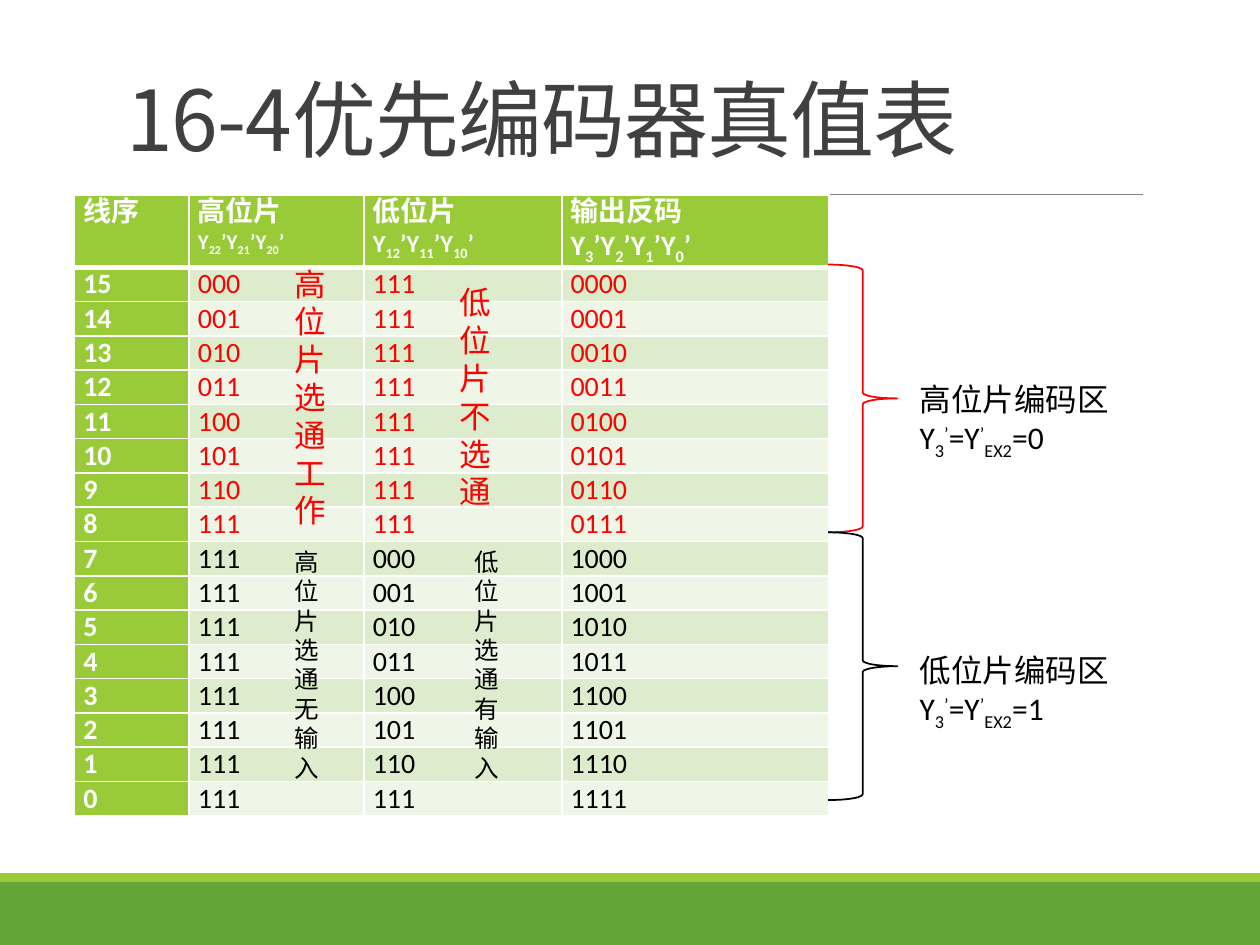
from lxml.etree import SubElement
from pptx import Presentation
from pptx.dml.color import RGBColor
from pptx.enum.shapes import MSO_CONNECTOR as CONNECTOR, MSO_SHAPE as SHAPE
from pptx.enum.text import MSO_ANCHOR as ANCHOR, MSO_AUTO_SIZE as AUTO_SIZE, PP_ALIGN as ALIGN
from pptx.oxml.ns import qn
from pptx.util import Pt

WHITE = RGBColor(0xFF, 0xFF, 0xFF)
BLACK = RGBColor(0, 0, 0)
RED = RGBColor(0xFF, 0, 0)
DARK_GREEN = RGBColor(0x63, 0xA5, 0x37)
GREEN = RGBColor(0x99, 0xCB, 0x38)
BANDS = [RGBColor(0xDE, 0xEC, 0xCE), RGBColor(0xEF, 0xF6, 0xE8)]
TITLE_GREY = RGBColor(0x40, 0x40, 0x40)
RULE_GREY = RGBColor(0x80, 0x80, 0x80)
SUB, SUP = -25000, 30000


def add_runs(paragraph, parts, size, color, bold=False, face="Calibri"):
    """Add (text, baseline) parts as runs of one format."""
    for text, baseline in parts:
        run = paragraph.add_run()
        run.text = text
        for key, value in {"size": Pt(size), "bold": bold, "name": face}.items():
            setattr(run.font, key, value)
        run.font.color.rgb = color
        props = run.font._element
        if baseline:
            props.set("baseline", str(baseline))
        SubElement(props, qn("a:ea")).set("typeface", face)


def fill_cell(cell, lines, fill, color, bold, top=1, bottom=1):
    """Write (parts, size) lines into a cell and give it borders and fill."""
    margins = {"margin_left": 5, "margin_right": 5, "margin_top": 0, "margin_bottom": 0}
    for key, value in margins.items():
        setattr(cell, key, Pt(value))
    frame = cell.text_frame
    for i, (parts, size) in enumerate(lines):
        paragraph = frame.add_paragraph() if i else frame.paragraphs[0]
        paragraph.alignment = ALIGN.JUSTIFY
        add_runs(paragraph, parts, size, color, bold)
    cell_props = cell._tc.get_or_add_tcPr()
    for side, width in {"lnL": 1, "lnR": 1, "lnT": top, "lnB": bottom}.items():
        border = SubElement(cell_props, qn("a:" + side), w=str(Pt(width)))
        solid = SubElement(border, qn("a:solidFill"))
        SubElement(solid, qn("a:srgbClr"), val=str(WHITE))
    cell.fill.solid()
    cell.fill.fore_color.rgb = fill


prs = Presentation()
prs.slide_width, prs.slide_height = Pt(720), Pt(540)
slide = prs.slides.add_slide(prs.slide_layouts[5])
shapes = slide.shapes

# Footer bands and rule under the title
for top, height, color in [(504, 36, DARK_GREEN), (499, 5, GREEN)]:
    band = shapes.add_shape(SHAPE.RECTANGLE, 0, Pt(top), Pt(720), Pt(height))
    band.shadow.inherit = False
    band.fill.solid()
    band.fill.fore_color.rgb = color
    band.line.fill.background()
rule = shapes.add_connector(CONNECTOR.STRAIGHT, Pt(64.8), Pt(111.4), Pt(653), Pt(111.4))
rule.line.color.rgb = RULE_GREY
rule.line.width = Pt(0.5)
SubElement(rule._element.spPr, qn("a:effectLst"))

# Title
title = shapes.title
box = {"left": 64.8, "top": 22.3, "width": 594, "height": 77.8}
for key, value in box.items():
    setattr(title, key, Pt(value))
title.text_frame.vertical_anchor = ANCHOR.BOTTOM
title.text_frame.auto_size = AUTO_SIZE.NONE
heading = title.text_frame.paragraphs[0]
heading.alignment = ALIGN.LEFT
heading.line_spacing = 0.85
add_runs(heading, [("16-4优先编码器真值表", 0)], 48, TITLE_GREY, face="Noto Sans CJK SC")
heading.runs[0].font._element.set("spc", "-50")

# Truth table
column_widths = [65.5, 100, 113, 152.6]
truth_frame = shapes.add_table(17, 4, Pt(42.6), Pt(111.4), Pt(431.1), Pt(345.6))
truth = truth_frame.table
for column, width in zip(truth.columns, column_widths):
    column.width = Pt(width)
for i, row in enumerate(truth.rows):
    row.height = Pt(17.3 if i else 37.5)
truth_frame.height = Pt(345.6)

headers = [
    ("线序", [], 16),
    ("高位片", ["22", "21", "20"], 12),
    ("低位片", ["12", "11", "10"], 14),
    ("输出反码", ["3", "2", "1", "0"], 16),
]
for c, (label, indices, size) in enumerate(headers):
    lines = [([(label, 0)], 16)]
    if indices:
        signals = [("Y", 0)]
        for index in indices:
            signals += [(index, SUB), ("’Y", 0)]
        signals[-1] = ("’", 0)
        lines.append((signals, size))
    fill_cell(truth.cell(0, c), lines, GREEN, WHITE, True, bottom=3)

for r, number in enumerate(range(15, -1, -1), start=1):
    high_active = number >= 8
    code = f"{15 - number:04b}"
    high, low = (code[1:], "111") if high_active else ("111", code[1:])
    for c, value in enumerate([str(number), high, low, code]):
        is_key = c == 0
        fill = GREEN if is_key else BANDS[(r - 1) % 2]
        color = WHITE if is_key else RED if high_active else BLACK
        fill_cell(truth.cell(r, c), [([(value, 0)], 16)], fill, color, is_key,
                  top=3 if r == 1 else 1)

# Braces with their coding zones
zones = [
    (151.2, 213.8, "高位片编码区", "=0", RED),
    (304.2, 368.6, "低位片编码区", "=1", BLACK),
]
for brace_top, label_top, label, level, color in zones:
    brace = shapes.add_shape(SHAPE.RIGHT_BRACE, Pt(473.2), Pt(brace_top), Pt(39.6), Pt(153))
    brace.shadow.inherit = False
    brace.fill.background()
    brace.line.color.rgb = color
    brace.line.width = Pt(1)
    zone = shapes.add_textbox(Pt(518.4), Pt(label_top), Pt(123.8), Pt(51)).text_frame
    zone.word_wrap = False
    zone.auto_size = AUTO_SIZE.SHAPE_TO_FIT_TEXT
    add_runs(zone.paragraphs[0], [(label, 0)], 18, BLACK)
    formula = [("Y", 0), ("3", SUB), ("’", SUP), ("=Y", 0), ("’", SUP), ("EX2", SUB), (level, 0)]
    add_runs(zone.add_paragraph(), formula, 18, BLACK)

# Chip states, one character per line
states = [
    (161.3, 147.6, 22.3, 159.8, "高位片选通工作", 18, RED),
    (255.6, 158.4, 22.3, 138.2, "低位片不选通", 18, RED),
    (161.3, 308.9, 28, 143.3, "高位片选通无输入", 14, BLACK),
    (264.2, 308.9, 28, 143.3, "低位片选通有输入", 14, BLACK),
]
for left, top, width, height, text, size, color in states:
    state = shapes.add_textbox(Pt(left), Pt(top), Pt(width), Pt(height)).text_frame
    state.word_wrap = True
    state.auto_size = AUTO_SIZE.SHAPE_TO_FIT_TEXT
    add_runs(state.paragraphs[0], [(text, 0)], size, color)

prs.save("out.pptx")
